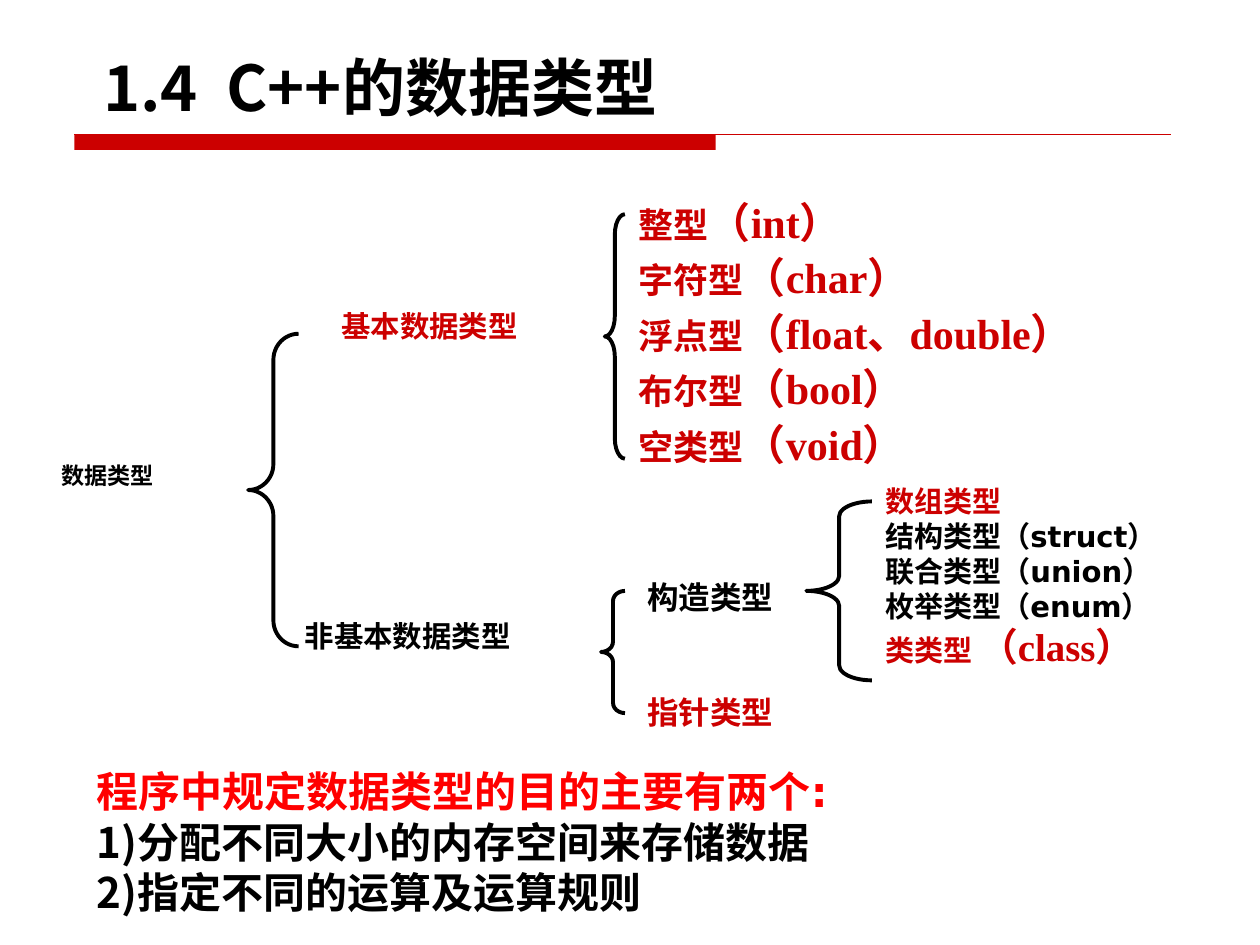
from lxml.etree import SubElement
from pptx import Presentation
from pptx.dml.color import RGBColor
from pptx.enum.shapes import MSO_CONNECTOR as Connector, MSO_SHAPE as Shape
from pptx.enum.text import MSO_AUTO_SIZE as AutoSize, PP_ALIGN as Align
from pptx.oxml.ns import qn
from pptx.util import Inches, Pt

THEME = {
    "black": "000000", "crimson": "CC0000", "red": "FF0000",
    "serif": "Times New Roman", "sans": "DejaVu Sans", "cjk": "Noto Sans CJK SC",
    "title": 36, "purpose": 24, "keyword": 24, "basic": 20, "branch": 18,
    "label": 16.8, "kind": 16.6, "class": 22.2, "root": 13.2,
    "leading": 1.2, "brace_line": 2.25, "rule_line": 0.75,
}
SLIDE_W, SLIDE_H = Inches(10), Inches(7.5)

# Places are left, top, width, height in percent of the slide.
TITLE = ("1.4  C++的数据类型", (7.2, 3.73, 47.6, 9.33))
RULE_BAR = (5.9, 14.27, 50.9, 1.6)
RULE_END = 92.9

LABELS = [
    ("数据类型", (3.9, 48.8, 16.4, 4.67), "root", "black"),
    ("基本数据类型", (26.1, 32.67, 23.5, 5.2), "label", "crimson"),
    ("非基本数据类型", (23.2, 65.47, 26.4, 5.2), "label", "black"),
]
BRACES = [
    (19.7, 35.33, 4, 33.07),
    (48, 22.67, 1.6, 25.87),
    (47.7, 62.53, 1.9, 12.93),
    (64, 53.07, 5.2, 18.93),
]
BASIC_TYPES = [
    ("整型", "（int）"),
    ("字符型", "（char）"),
    ("浮点型", "（float、double）"),
    ("布尔型", "（bool）"),
    ("空类型", "（void）"),
]
BASIC_PLACE = (49.7, 19.6, 44.9, 30.8)

BRANCHES = [("构造类型", "black"), ("指针类型", "crimson")]
BRANCH_PLACE = (50.4, 60.53, 21.5, 22)
BRANCH_GAP = 44

SANS = {"font": "sans"}
CONSTRUCTED_TYPES = [
    [("数组类型", {"color": "crimson"})],
    [("结构类型（", {}), ("struct", SANS), ("）", {})],
    [("联合类型", {}), ("（union）", SANS)],
    [("枚举类型", {}), ("（enum）", SANS)],
    [("类类型 ", {"color": "crimson"}),
     ("（class）", {"color": "crimson", "size": "class"})],
]
CONSTRUCTED_PLACE = (69.3, 50.53, 26.8, 22.13)

PURPOSE_HEAD = "程序中规定数据类型的目的主要有两个:"
PURPOSES = ["分配不同大小的内存空间来存储数据", "指定不同的运算及运算规则"]
PURPOSE_PLACE = (6.7, 80.4, 89.4, 17.33)


def share(place):
    """Turn percentages of the slide into lengths."""
    return [int(part * side / 100)
            for part, side in zip(place, (SLIDE_W, SLIDE_H) * 2)]


def color(name):
    return RGBColor.from_string(THEME[name])


def number(paragraph):
    props = paragraph._p.get_or_add_pPr()
    props.set("marL", "0")
    props.set("indent", "0")
    tint = SubElement(props, qn("a:buClr"))
    SubElement(tint, qn("a:srgbClr"), val=THEME["black"])
    SubElement(props, qn("a:buFont"), typeface=THEME["cjk"])
    SubElement(props, qn("a:buAutoNum"), type="arabicParenR")


def add_text(slide, paragraphs, place, *, size, color_name="black", font="serif",
             align=Align.JUSTIFY, spacing=1, gap=0, wrap=True, numbered_from=None):
    """Each paragraph is a list of (text, overrides of size, color and font)."""
    frame = slide.shapes.add_textbox(*share(place)).text_frame
    frame.word_wrap = wrap
    frame.auto_size = AutoSize.NONE
    for index, runs in enumerate(paragraphs):
        paragraph = frame.add_paragraph() if index else frame.paragraphs[0]
        if numbered_from is not None and index >= numbered_from:
            number(paragraph)
        tallest = max(THEME[form.get("size", size)] for _, form in runs)
        paragraph.line_spacing = Pt(round(tallest * THEME["leading"] * spacing, 1))
        paragraph.alignment = align
        if index and gap:
            paragraph.space_before = Pt(gap)
        for text, form in runs:
            run = paragraph.add_run()
            run.text = text
            run.font.size = Pt(THEME[form.get("size", size)])
            run.font.bold = True
            run.font.color.rgb = color(form.get("color", color_name))
            run.font.name = THEME[form.get("font", font)]
            props = run._r.get_or_add_rPr()
            props.set("lang", "zh-CN")
            SubElement(props, qn("a:ea"), typeface=THEME["cjk"])


def add_rule(slide):
    bar = slide.shapes.add_shape(Shape.RECTANGLE, *share(RULE_BAR))
    bar.shadow.inherit = False
    bar.fill.solid()
    bar.fill.fore_color.rgb = color("crimson")
    bar.line.fill.background()
    left, top = RULE_BAR[:2]
    line = slide.shapes.add_connector(
        Connector.STRAIGHT, *share((left, top, RULE_END, top)))
    line.line.color.rgb = color("crimson")
    line.line.width = Pt(THEME["rule_line"])
    SubElement(line._element.spPr, qn("a:effectLst"))


def add_brace(slide, place):
    """Each curve of a brace is a twelfth of its height."""
    brace = slide.shapes.add_shape(Shape.LEFT_BRACE, *share(place))
    brace.adjustments[0] = brace.height / 12 / brace.width
    brace.shadow.inherit = False
    brace.fill.background()
    brace.line.color.rgb = color("black")
    brace.line.width = Pt(THEME["brace_line"])


def main():
    deck = Presentation()
    deck.slide_width, deck.slide_height = SLIDE_W, SLIDE_H
    slide = deck.slides.add_slide(deck.slide_layouts[6])

    add_rule(slide)
    title, title_place = TITLE
    add_text(slide, [[(title, {})]], title_place, size="title", font="cjk",
             align=Align.LEFT, spacing=1.09, wrap=False)
    for label, place, size, tint in LABELS:
        add_text(slide, [[(label, {})]], place, size=size, color_name=tint,
                 spacing=0.8)
    for place in BRACES:
        add_brace(slide, place)
    add_text(slide, [[(name, {}), (keyword, {"size": "keyword"})]
                     for name, keyword in BASIC_TYPES],
             BASIC_PLACE, size="basic", color_name="crimson", spacing=1.1)
    add_text(slide, [[(name, {"color": tint})] for name, tint in BRANCHES],
             BRANCH_PLACE, size="branch", gap=BRANCH_GAP)
    add_text(slide, CONSTRUCTED_TYPES, CONSTRUCTED_PLACE, size="kind")
    add_text(slide, [[(PURPOSE_HEAD, {"color": "red"})]]
             + [[(purpose, {})] for purpose in PURPOSES],
             PURPOSE_PLACE, size="purpose", font="sans", align=Align.LEFT,
             numbered_from=1)
    deck.save("out.pptx")


if __name__ == "__main__":
    main()
